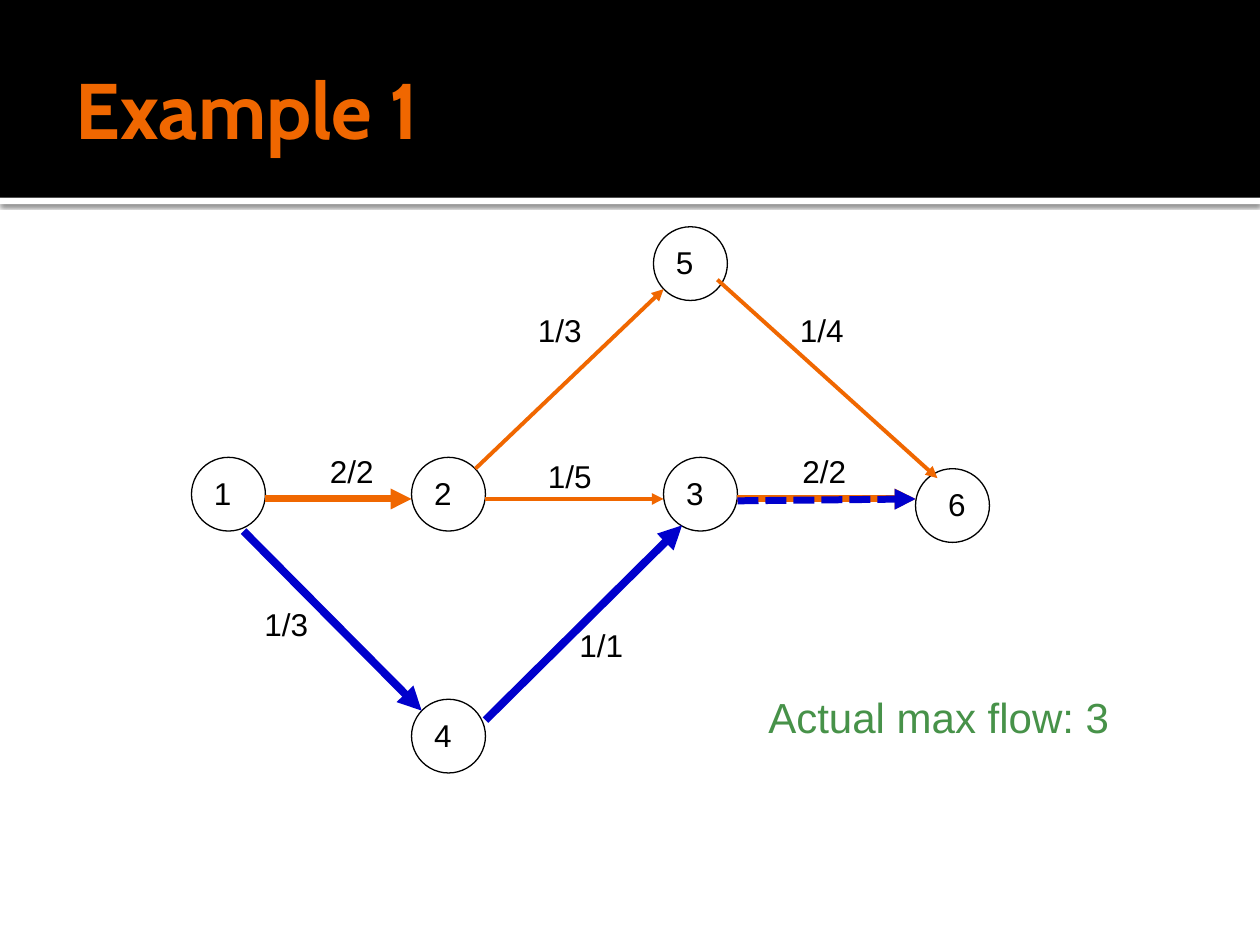
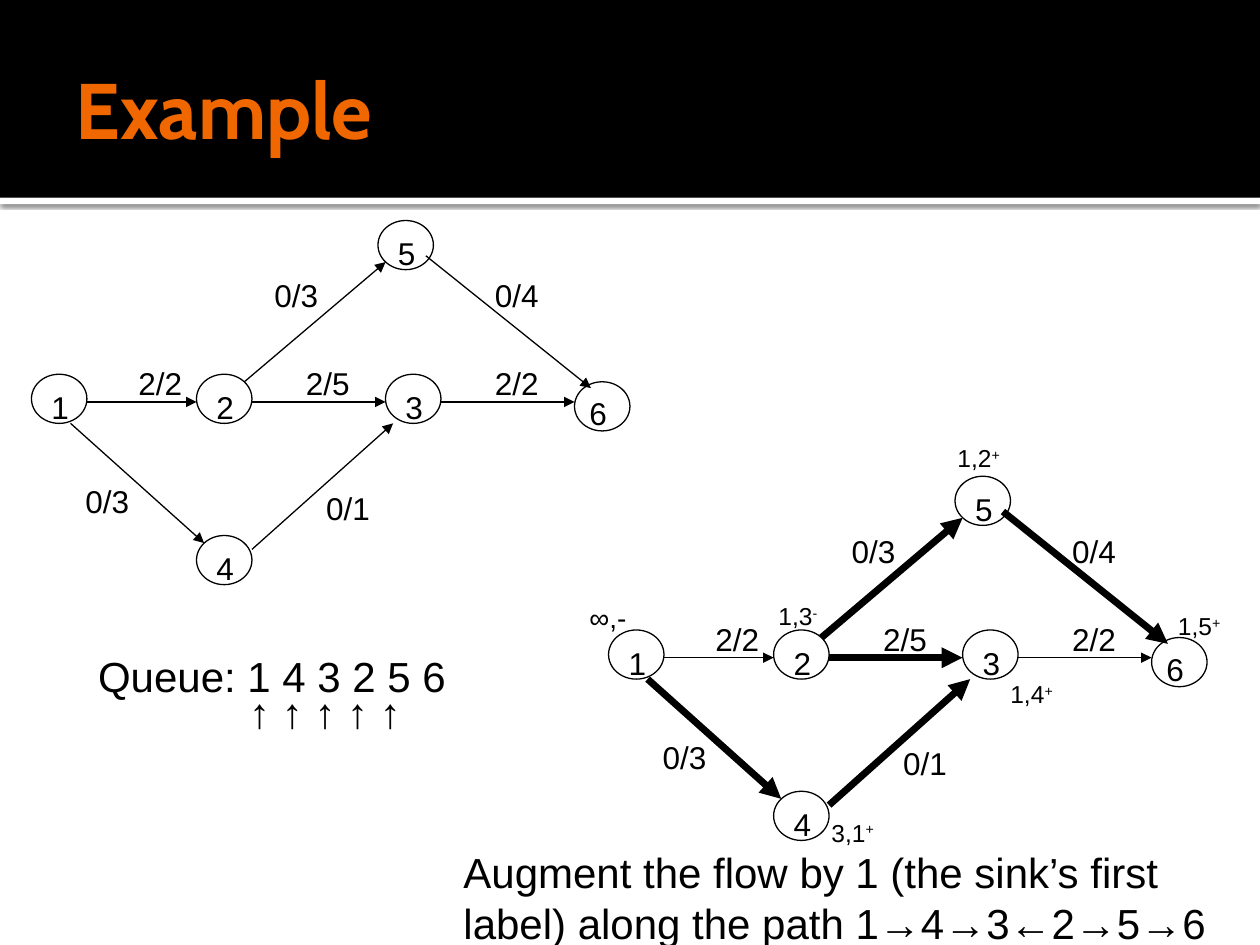
from lxml import etree
from pptx import Presentation
from pptx.dml.color import RGBColor
from pptx.enum import dml, shapes, text
from pptx.oxml import ns
from pptx.util import Pt

BLACK, WHITE, ORANGE, BLUE, GREEN = "000000", "FFFFFF", "F06700", "0000CC", "479249"
rgb = RGBColor.from_string

prs = Presentation()
prs.slide_width, prs.slide_height = 9144000, 6858000
CELL = prs.slide_width / 10  # the slide is a grid of 10 columns by 7.5 rows


def cells(*lengths):
    """Turn grid lengths into slide units."""
    return [round(n * CELL) for n in lengths]


def add_text(s, box, runs, colour=BLACK, wrap=False, frame=None, para=None, **font):
    """Add a text box; every second run is a superscript."""
    tf = s.shapes.add_textbox(*cells(*box)).text_frame
    layout = {"word_wrap": wrap, "auto_size": text.MSO_AUTO_SIZE.SHAPE_TO_FIT_TEXT}
    for name, value in (layout | (frame or {})).items():
        setattr(tf, name, value)
    p = tf.paragraphs[0]
    for name, value in (para or {}).items():
        setattr(p, name, value)
    for i, run in enumerate(runs):
        r = p.add_run()
        r.text = run
        for name, value in ({"name": "Arial", "size": Pt(18)} | font).items():
            setattr(r.font, name, value)
        r.font.color.rgb = rgb(colour)
        if i % 2:
            r._r.get_or_add_rPr().set("baseline", "30000")
    return tf


# The network, measured from the top left of node 1 at scale 1
NODE_W, NODE_H = 0.44, 0.39
NODES = {"1": (0, 0), "2": (1.31, 0), "3": (2.81, 0),
         "4": (1.31, 1.28), "5": (2.75, -1.22), "6": (4.31, 0.06)}
EDGES = {"1-4": (0.31, 0.39, 1.37, 1.34),
         "1-2": (0.44, 0.22, 1.31, 0.22),
         "2-5": (1.69, 0.06, 2.81, -0.89),
         "2-3": (1.75, 0.22, 2.81, 0.22),
         "4-3": (1.75, 1.39, 2.87, 0.39),
         "3-6": (3.25, 0.22, 4.31, 0.22),
         "5-6": (3.13, -0.94, 4.44, 0.11)}

# Flow labels: text and offset from node 1
FINAL_FLOW = {"1-4": ("1/3", 0.48, 1.12), "1-2": ("2/2", 1, -0.09),
              "2-5": ("1/3", 2.65, -1.21), "2-3": ("1/5", 2.73, -0.05),
              "4-3": ("1/1", 2.98, 1.29), "3-6": ("2/2", 4.75, -0.09),
              "5-6": ("1/4", 4.73, -1.21)}
FIRST_FLOW = {"1-4": ("0/3", 0.33, 0.81), "1-2": ("2/2", 0.75, -0.13),
              "2-5": ("0/3", 1.83, -0.83), "2-3": ("2/5", 2.08, -0.13),
              "4-3": ("0/1", 2.24, 0.86), "3-6": ("2/2", 3.58, -0.13),
              "5-6": ("0/4", 3.58, -0.83)}

# Edge styles: colour and width
THIN, THICK = (BLACK, 0.75), (BLACK, 4)
final_styles = {e: (ORANGE, 2.25) for e in EDGES}
final_styles |= {e: (ORANGE, 4) for e in ("1-2", "3-6")}
final_styles |= {e: (BLUE, 4.5) for e in ("1-4", "4-3")}
plain_styles = {e: THIN for e in EDGES}
path_styles = {e: THIN if e in ("1-2", "3-6") else THICK for e in EDGES}

small = dict(flow=FIRST_FLOW, scale=(1, 1), edges=EDGES, number=(0.06, 0.06), sink=(0.02, 0.05))
final = dict(origin=(1.52, 3.63), scale=(4 / 3, 1.5), flow=FINAL_FLOW, styles=final_styles,
             edges=EDGES | {"4-3": (1.75, 1.39, 2.92, 0.36),
                            "dashed": (3.25, 0.23, 4.31, 0.22)},
             number=(0.08, 0.08), sink=(0.16, 0.08))
final_styles["dashed"] = (BLUE, 4)
DECK = [("Example 1", [final]),
        ("Example", [small | dict(origin=(0.25, 2.97), styles=plain_styles),
                     small | dict(origin=(4.83, 5), styles=path_styles)])]

for title, graphs in DECK:
    s = prs.slides.add_slide(prs.slide_layouts[6])

    # Title band with a shadowed white rule under it
    for top, height, colour in ((1.57, 0.05, WHITE), (0, 1.57, BLACK)):
        band = s.shapes.add_shape(shapes.MSO_SHAPE.RECTANGLE, *cells(0, top, 10, height))
        band.shadow.inherit = False
        band.fill.solid()
        band.fill.fore_color.rgb = rgb(colour)
        band.line.fill.background()
        if colour == WHITE:
            effects = band._element.spPr.find(ns.qn("a:effectLst"))
            shadow = etree.SubElement(effects, ns.qn("a:outerShdw"), blurRad=str(Pt(2.5)),
                                      dist=str(Pt(0.8)), dir="5400000", rotWithShape="0")
            black = etree.SubElement(shadow, ns.qn("a:srgbClr"), val=BLACK)
            etree.SubElement(black, ns.qn("a:alpha"), val="60000")
    add_text(s, (0.5, 0.17, 9, 1.37), [title], ORANGE, True,
             {"vertical_anchor": text.MSO_ANCHOR.MIDDLE, "margin_right": cells(0.05)[0],
              "auto_size": text.MSO_AUTO_SIZE.NONE},
             name="Cabin", size=Pt(45), bold=True)

    for g in graphs:
        (left, top), (sx, sy) = g["origin"], g["scale"]

        for x, y in NODES.values():
            box = cells(left + x * sx, top + y * sy, NODE_W * sx, NODE_H * sy)
            node = s.shapes.add_shape(shapes.MSO_SHAPE.OVAL, *box)
            node.shadow.inherit = False
            node.fill.background()
            node.line.color.rgb = rgb(BLACK)
            node.line.width = Pt(0.75)

        for name, (x1, y1, x2, y2) in g["edges"].items():
            ends = cells(left + x1 * sx, top + y1 * sy, left + x2 * sx, top + y2 * sy)
            edge = s.shapes.add_connector(shapes.MSO_CONNECTOR.STRAIGHT, *ends)
            colour, width = g["styles"][name]
            edge.line.color.rgb = rgb(colour)
            edge.line.width = Pt(width)
            if name == "dashed":
                edge.line.dash_style = dml.MSO_LINE.SQUARE_DOT
            etree.SubElement(edge.line._get_or_add_ln(), ns.qn("a:tailEnd"), type="triangle")
            etree.SubElement(edge._element.spPr, ns.qn("a:effectLst"))

        for number, (x, y) in NODES.items():
            dx, dy = g["sink"] if number == "6" else g["number"]
            add_text(s, (left + x * sx + dx, top + y * sy + dy, 0.34, 0.4), [number])
        for label, dx, dy in g["flow"].values():
            add_text(s, (left + dx, top + dy, 0.55, 0.4), [label])

first, second = prs.slides
add_text(first, (6, 5.44, 2.93, 0.5), ["Actual max flow: 3"], GREEN, size=Pt(24))

# Node labels of the search, then its queue and result
add_text(second, (4.58, 4.72, 0.5, 0.37), ["∞,-"], wrap=True, size=Pt(16))
for x, y, *label in ((6.08, 4.72, "1,3", "-"), (7.5, 3.47, "1,2", "+"), (9.25, 4.8, "1,5", "+"),
                     (7.92, 5.34, "1,4", "+"), (6.5, 6.44, "3,1", "+")):
    add_text(second, (x, y, 0.58, 0.33), label, wrap=True, size=Pt(14))
add_text(second, (3.58, 6.67, 6.17, 0.91),
         ["Augment the flow by 1 (the sink’s first label) along the path 1→4→3←2→5→6"],
         wrap=True, size=Pt(24))

queue = add_text(second, (0.68, 5.37, 3.07, 0.5), ["Queue: 1 4 3 2 5 6"], wrap=True,
                 para={"line_spacing": 0.25}, size=Pt(24))
p = queue.add_paragraph()
p._p.get_or_add_pPr().set("marL", str(cells(1.2)[0]))
p.line_spacing, p.space_before = 0.25, Pt(13)
r = p.add_run()
r.text = "↑ ↑ ↑ ↑ ↑"
r.font.name, r.font.size = "Arial", Pt(24)
r.font.color.rgb = rgb(BLACK)

prs.save("out.pptx")
